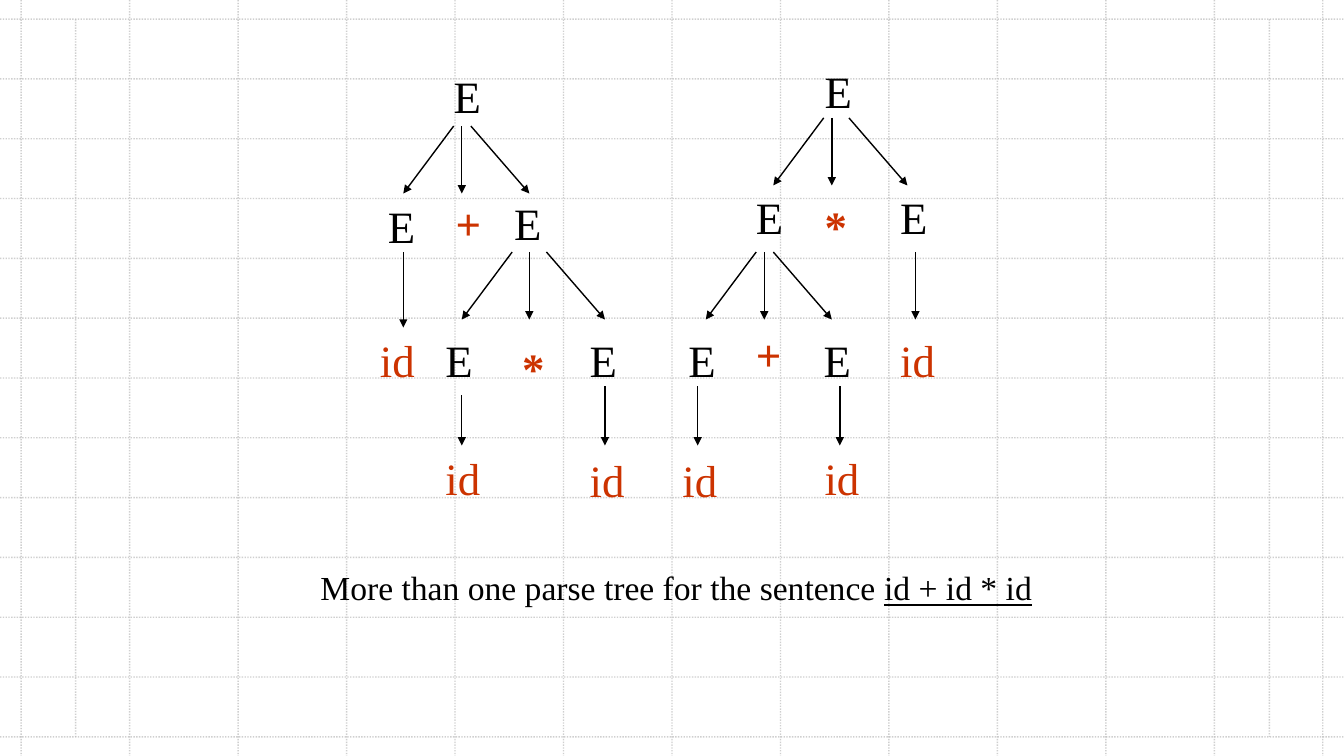
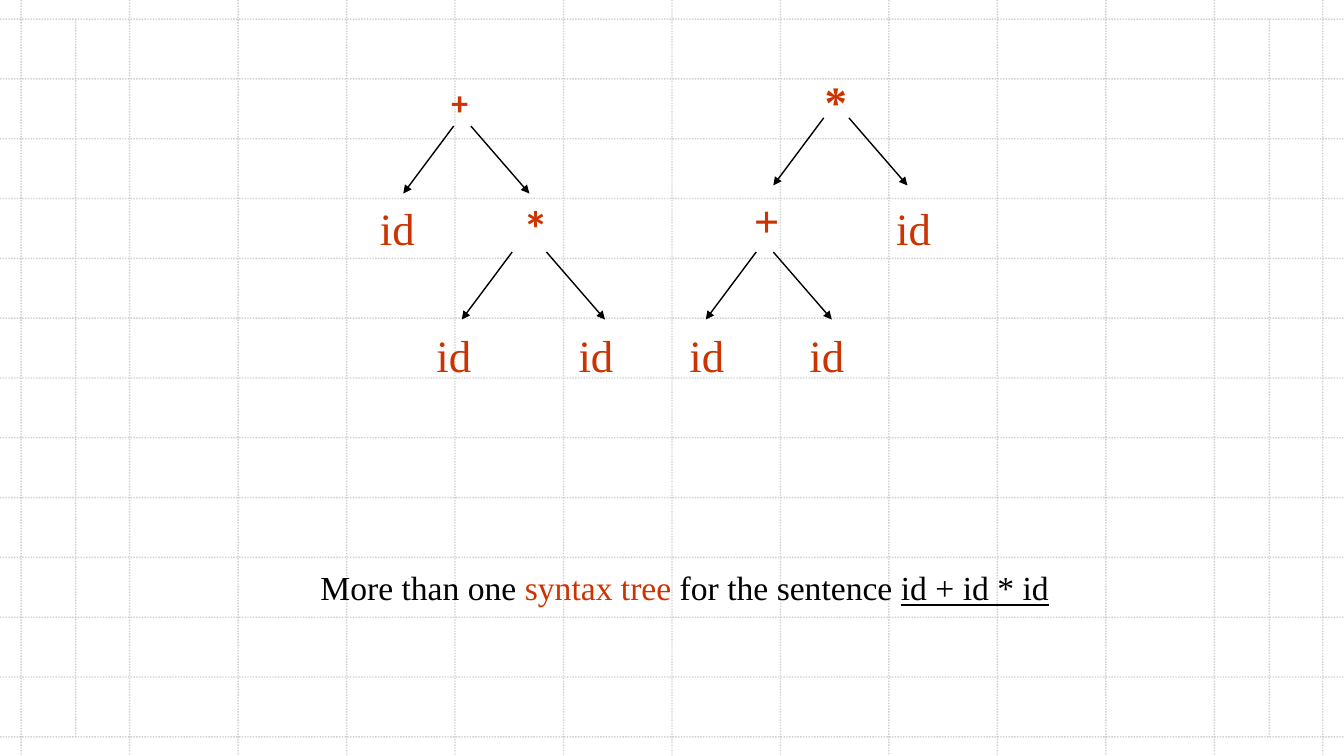
"""Build two slides that compare the parse trees and syntax trees of one sentence."""
from lxml.etree import SubElement
from pptx import Presentation
from pptx.dml.color import RGBColor
from pptx.enum.dml import MSO_LINE
from pptx.enum.shapes import MSO_CONNECTOR
from pptx.enum.text import MSO_AUTO_SIZE
from pptx.oxml.ns import qn
from pptx.util import Inches, Pt

BLACK, RED, GRID_GREY = "000000", "CC3300", "BCBCBC"
SERIF, SANS = "Times New Roman", "Calibri"
SLIDE_WIDTH, SLIDE_HEIGHT = 13.33, 7.5
GRID_CELLS = 12
GRID_LEFT, GRID_RIGHT, GRID_TOP, GRID_BOTTOM = 0.21, 13.12, 0.19, 7.31
MARGIN_COLUMNS = (0.75, 12.59)
NODE_WIDTHS = {"E": 0.47, "+": 0.47, "*": 0.47, "id": 0.63}
NODE_HEIGHT = 0.63
FAN_FALL, FAN_LEFT_REACH, FAN_RIGHT_REACH = 0.67, 0.5, 0.58
SENTENCE = "id + id * id"

FANS = [
    (4.5, 4.58, 4.67, 1.25),
    (5.08, 5.25, 5.42, 2.5),
    (8.17, 8.25, 8.42, 1.17),
    (7.5, 7.58, 7.67, 2.5),
]
PARSE_DESCENTS = [
    (4, 2.5, 3.25), (4.58, 3.92, 4.42), (6, 3.83, 4.42),
    (6.92, 3.83, 4.42), (8.33, 3.83, 4.42), (9.08, 2.5, 3.17),
]
PARSE_NODES = [
    ("E", 4.4, 0.63), ("E", 3.75, 1.92), ("+", 4.42, 1.89), ("E", 5, 1.89),
    ("id", 3.67, 3.25), ("E", 4.32, 3.25), ("*", 5.08, 3.33), ("E", 5.75, 3.25),
    ("id", 4.32, 4.42), ("id", 5.75, 4.44),
    ("E", 8.08, 0.58), ("E", 7.4, 1.83), ("*", 8.08, 1.92), ("E", 8.83, 1.83),
    ("E", 6.73, 3.25), ("+", 7.4, 3.19), ("E", 8.07, 3.25), ("id", 8.83, 3.25),
    ("id", 6.67, 4.44), ("id", 8.08, 4.42),
]
SYNTAX_NODES = [
    ("+", 4.38, 0.76, 24, SANS), ("id", 3.67, 1.94), ("*", 5.09, 1.91, 36, SANS),
    ("id", 4.23, 3.2), ("id", 5.64, 3.2),
    ("*", 8.08, 0.68), ("+", 7.38, 1.86), ("id", 8.79, 1.94),
    ("id", 6.74, 3.2), ("id", 7.93, 3.2),
]


def colour(hex_string):
    return RGBColor.from_string(hex_string)


def add_line(slide, start, end, line_colour):
    connector = slide.shapes.add_connector(
        MSO_CONNECTOR.STRAIGHT, *map(Inches, (*start, *end)))
    connector.line.color.rgb = colour(line_colour)
    connector.line.width = Pt(1)
    SubElement(connector.element.spPr, qn("a:effectLst"))
    return connector


def add_arrow(slide, start, end):
    connector = add_line(slide, start, end, BLACK)
    outline = connector.element.spPr.find(qn("a:ln"))
    SubElement(outline, qn("a:tailEnd"), type="triangle")


def add_grid_line(slide, start, end):
    connector = add_line(slide, start, end, GRID_GREY)
    connector.line.dash_style = MSO_LINE.ROUND_DOT
    line_colour = connector.element.spPr.find(".//" + qn("a:srgbClr"))
    SubElement(line_colour, qn("a:alpha"), val="70000")


def add_grid(slide, layout):
    column_step = (GRID_RIGHT - GRID_LEFT) / GRID_CELLS
    row_step = (GRID_BOTTOM - GRID_TOP) / GRID_CELLS
    for index in range(GRID_CELLS + 1):
        x = GRID_LEFT + index * column_step
        y = GRID_TOP + index * row_step
        add_grid_line(slide, (x, 0), (x, SLIDE_HEIGHT))
        add_grid_line(slide, (0, y), (SLIDE_WIDTH, y))
    for x in MARGIN_COLUMNS:
        add_grid_line(slide, (x, GRID_TOP), (x, GRID_BOTTOM))
    for number, shape in enumerate(list(slide.shapes), start=100):
        shape.element.xpath(".//p:cNvPr")[0].set("id", str(number))
        layout.shapes.element.append(shape.element)


def add_text(slide, left, top, width, height, pieces, size, font_name):
    shape = slide.shapes.add_textbox(*map(Inches, (left, top, width, height)))
    text_frame = shape.text_frame
    text_frame.word_wrap = True
    text_frame.auto_size = MSO_AUTO_SIZE.SHAPE_TO_FIT_TEXT
    for text, text_colour, bold, underline in pieces:
        run = text_frame.paragraphs[0].add_run()
        run.text = text
        run.font.name = font_name
        run.font.size = Pt(size)
        run.font.color.rgb = colour(text_colour)
        run.font.bold = bold
        run.font.underline = underline


def add_node(slide, symbol, left, top, size=32, font_name=SERIF):
    node_colour = BLACK if symbol == "E" else RED
    pieces = [(symbol, node_colour, symbol in "+*", False)]
    add_text(slide, left, top, NODE_WIDTHS[symbol], NODE_HEIGHT, pieces, size, font_name)


def add_fan(slide, left, middle, right, top, with_middle):
    bottom = top + FAN_FALL
    add_arrow(slide, (left, top), (left - FAN_LEFT_REACH, bottom))
    if with_middle:
        add_arrow(slide, (middle, top), (middle, bottom))
    add_arrow(slide, (right, top), (right + FAN_RIGHT_REACH, bottom))


def add_caption(slide, tree_name, tree_colour):
    pieces = [
        ("More than one ", BLACK, False, False),
        (tree_name, tree_colour, False, False),
        (" for the sentence ", BLACK, False, False),
        (SENTENCE, BLACK, False, True),
    ]
    add_text(slide, 3.08, 5.58, 7.42, 0.5, pieces, 24, SERIF)


def add_trees(slide, nodes, descents, with_middle):
    for fan in FANS:
        add_fan(slide, *fan, with_middle)
    for x, top, bottom in descents:
        add_arrow(slide, (x, top), (x, bottom))
    for node in nodes:
        add_node(slide, *node)


def main():
    presentation = Presentation()
    presentation.slide_width = Inches(SLIDE_WIDTH)
    presentation.slide_height = Inches(SLIDE_HEIGHT)
    blank_layout = presentation.slide_layouts[6]

    parse_slide = presentation.slides.add_slide(blank_layout)
    add_grid(parse_slide, blank_layout)
    add_trees(parse_slide, PARSE_NODES, PARSE_DESCENTS, True)
    add_caption(parse_slide, "parse tree", BLACK)

    syntax_slide = presentation.slides.add_slide(blank_layout)
    add_trees(syntax_slide, SYNTAX_NODES, [], False)
    add_caption(syntax_slide, "syntax tree", RED)

    presentation.save("out.pptx")


if __name__ == "__main__":
    main()
